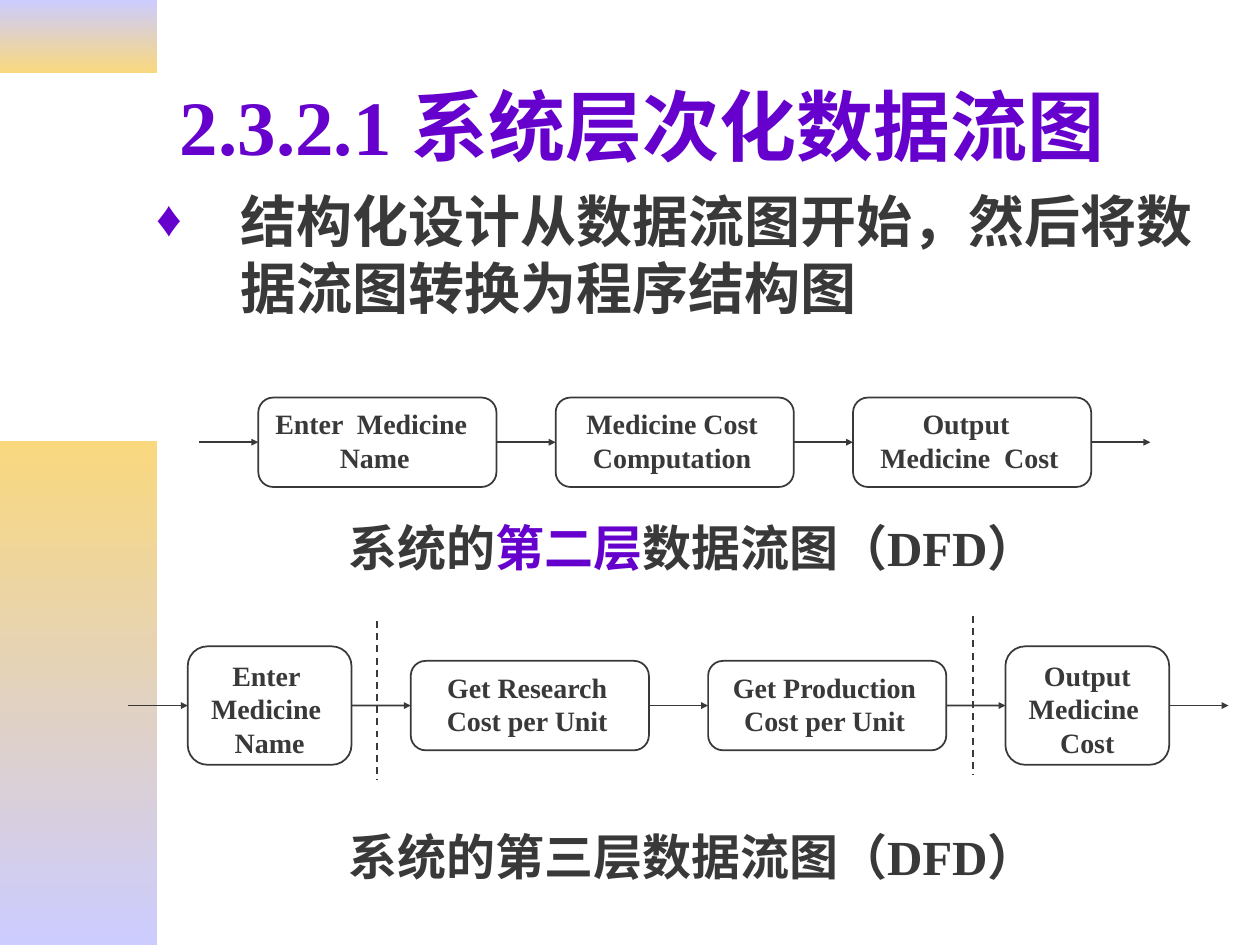
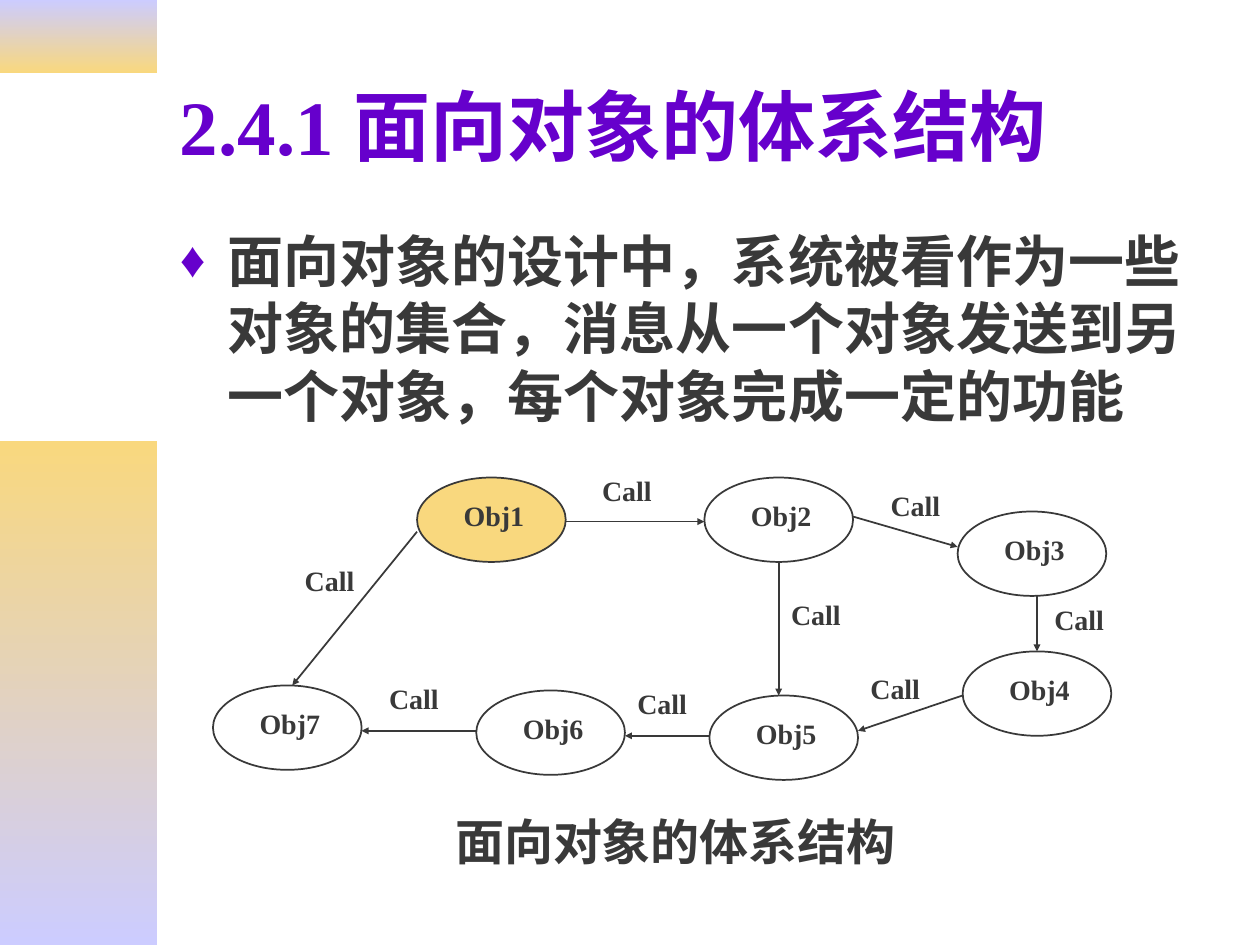
from dataclasses import dataclass

from lxml import etree
from pptx import Presentation
from pptx.dml.color import RGBColor
from pptx.enum.dml import MSO_LINE
from pptx.enum.lang import MSO_LANGUAGE_ID
from pptx.enum.shapes import MSO_CONNECTOR, MSO_SHAPE
from pptx.enum.text import MSO_ANCHOR, PP_ALIGN
from pptx.oxml.ns import qn
from pptx.util import Inches, Pt

RECTANGLE, ELLIPSE = MSO_SHAPE.RECTANGLE, MSO_SHAPE.OVAL
PROCESS = MSO_SHAPE.FLOWCHART_ALTERNATE_PROCESS
STRAIGHT, DASH = MSO_CONNECTOR.STRAIGHT, MSO_LINE.DASH
TOP, MIDDLE = MSO_ANCHOR.TOP, MSO_ANCHOR.MIDDLE
LEFT, CENTER = PP_ALIGN.LEFT, PP_ALIGN.CENTER
CHINESE = MSO_LANGUAGE_ID.SIMPLIFIED_CHINESE
LEFT_SIDE, RIGHT_SIDE = 1, 3

FONT = "Times New Roman"
INK, PURPLE, GOLD, LAVENDER = "393939", "6600CC", "F9D87E", "CCCCFF"
TITLE_SIZE, BODY_SIZE, CAPTION_SIZE, LABEL_SIZE = 44, 32, 28, 16
ARROW_GAP = 0.47
OBJECT_W, OBJECT_H = 1.18, 0.67
CALL_W, CALL_H = 0.83, 0.37
DIVIDER_H = 1.26


@dataclass(frozen=True)
class Span:
    text: str
    color: str = INK


@dataclass(frozen=True)
class Step:
    text: str
    width: float = 1.89
    height: float = 0.71
    insets: tuple[float, float, float, float] = (0.1, 0.04, 0.14, 0)


@dataclass(frozen=True)
class ObjectNode:
    name: str
    left: float
    top: float
    fill: str | None = None


@dataclass(frozen=True)
class Call:
    start: tuple[float, float]
    end: tuple[float, float]
    label: tuple[float, float]


def rgb(color: str) -> RGBColor:
    return RGBColor.from_string(color)


def write(shape, spans: list[Span], size: float, align=LEFT, anchor=TOP,
          insets=(0.1, 0.05, 0.1, 0.05)):
    """Fill a shape's only paragraph; insets run left, top, right, bottom."""
    tf = shape.text_frame
    tf.word_wrap = True
    tf.vertical_anchor = anchor
    (tf.margin_left, tf.margin_top,
     tf.margin_right, tf.margin_bottom) = map(Inches, insets)
    p = tf.paragraphs[0]
    p.alignment = align
    for span in spans:
        r = p.add_run()
        r.text = span.text
        r.font.name = FONT
        r.font.size = Pt(size)
        r.font.bold = True
        r.font.language_id = CHINESE
        r.font.color.rgb = rgb(span.color)
    return p


def add_text(s, left: float, top: float, width: float, height: float,
             spans: list[Span], size: float, **style):
    box = s.shapes.add_textbox(*map(Inches, (left, top, width, height)))
    return write(box, spans, size, **style)


def add_shape(s, kind, left: float, top: float, width: float, height: float,
              fill: str | None = None):
    sp = s.shapes.add_shape(kind, *map(Inches, (left, top, width, height)))
    sp.shadow.inherit = False
    if fill:
        sp.fill.solid()
        sp.fill.fore_color.rgb = rgb(fill)
    else:
        sp.fill.background()
    sp.line.color.rgb = rgb(INK)
    sp.line.width = Pt(1)
    return sp


def add_line(s, start: tuple[float, float], end: tuple[float, float]):
    line = s.shapes.add_connector(STRAIGHT, *map(Inches, (*start, *end)))
    line.line.color.rgb = rgb(INK)
    line.line.width = Pt(1)
    etree.SubElement(line._element.spPr, qn("a:effectLst"))
    return line


def add_arrow(s, start: tuple[float, float], end: tuple[float, float]):
    arrow = add_line(s, start, end)
    etree.SubElement(arrow.line._get_or_add_ln(), qn("a:tailEnd"),
                     type="triangle", w="sm", len="sm")
    return arrow


def add_divider(s, x: float, top: float) -> None:
    add_line(s, (x, top), (x, top + DIVIDER_H)).line.dash_style = DASH


def add_band(s, top: float, height: float, upper: str, lower: str) -> None:
    band = add_shape(s, RECTANGLE, 0, top, 1.25, height)
    band.line.fill.background()
    band.fill.gradient()
    band.fill.gradient_angle = 270
    for stop, color in zip(band.fill.gradient_stops, (upper, lower)):
        stop.color.rgb = rgb(color)


def add_bullet(p, indent: float) -> None:
    pPr = p._p.get_or_add_pPr()
    pPr.set("marL", str(Inches(indent)))
    pPr.set("indent", str(-Inches(indent)))
    color = etree.SubElement(pPr, qn("a:buClr"))
    etree.SubElement(color, qn("a:srgbClr"), val=PURPLE)
    etree.SubElement(pPr, qn("a:buSzPct"), val="90000")
    etree.SubElement(pPr, qn("a:buFont"), typeface=FONT)
    etree.SubElement(pPr, qn("a:buChar"), char="♦")


def add_base_slide(prs, title: str):
    s = prs.slides.add_slide(prs.slide_layouts[6])
    add_band(s, 0, 0.58, LAVENDER, GOLD)
    add_band(s, 3.5, 4, GOLD, LAVENDER)
    add_text(s, 1.33, 0.33, 8.5, 1.32, [Span(title, PURPLE)], TITLE_SIZE,
             anchor=MIDDLE)
    return s


def add_body(s, left: float, top: float, height: float, indent: float,
             text: str) -> None:
    p = add_text(s, left, top, 8.5, height, [Span(text)], BODY_SIZE)
    add_bullet(p, indent)


def add_flow(s, left: float, middle: float, steps: list[Step]) -> None:
    """Draw a chain of steps with an arrow before, between and after them."""
    previous = None
    x = left
    for step in steps:
        arrow = add_arrow(s, (x, middle), (x + ARROW_GAP, middle))
        x += ARROW_GAP
        box = add_shape(s, PROCESS, x, middle - step.height / 2,
                        step.width, step.height)
        write(box, [Span(step.text)], LABEL_SIZE, align=CENTER,
              insets=step.insets)
        if previous is not None:
            arrow.begin_connect(previous, RIGHT_SIDE)
        arrow.end_connect(box, LEFT_SIDE)
        previous = box
        x += step.width
    add_arrow(s, (x, middle), (x + ARROW_GAP, middle)).begin_connect(
        previous, RIGHT_SIDE)


def tall_step(text: str) -> Step:
    return Step(text, 1.3, 0.94, (0.1, 0.05, 0.1, 0))


def build_data_flow_slide(prs) -> None:
    s = add_base_slide(prs, "2.3.2.1 系统层次化数据流图")
    add_body(s, 1.14, 1.43, 1.53, 0.67,
             "结构化设计从数据流图开始，然后将数据流图转换为程序结构图")
    add_flow(s, 1.58, 3.51, [
        Step("Enter  Medicine  Name"),
        Step("Medicine Cost Computation"),
        Step("Output  Medicine  Cost"),
    ])
    add_flow(s, 1.02, 5.6, [
        tall_step("Enter  Medicine  Name"),
        Step("Get Research Cost per Unit"),
        Step("Get Production Cost per Unit"),
        tall_step("Output Medicine  Cost"),
    ])
    add_divider(s, 2.99, 4.93)
    add_divider(s, 7.72, 4.89)
    captions = {
        4.06: [Span("系统的"), Span("第二层", PURPLE), Span("数据流图（DFD）")],
        6.51: [Span("系统的第三层数据流图（DFD）")],
    }
    for top, spans in captions.items():
        add_text(s, 2.67, top, 6.5, 0.57, spans, CAPTION_SIZE)


def build_object_slide(prs) -> None:
    s = add_base_slide(prs, "2.4.1 面向对象的体系结构")
    add_body(s, 1.33, 1.75, 1.88, 0.38,
             "面向对象的设计中，系统被看作为一些对象的集合，消息从一个对象发送到"
             "另一个对象，每个对象完成一定的功能")
    nodes = [
        ObjectNode("Obj1", 3.31, 3.79, GOLD),
        ObjectNode("Obj2", 5.59, 3.79),
        ObjectNode("Obj3", 7.6, 4.06),
        ObjectNode("Obj4", 7.64, 5.17),
        ObjectNode("Obj5", 5.63, 5.52),
        ObjectNode("Obj6", 3.78, 5.48),
        ObjectNode("Obj7", 1.69, 5.44),
    ]
    calls = [
        Call((4.49, 4.14), (5.59, 4.14), (4.68, 3.71)),
        Call((3.31, 4.22), (2.32, 5.44), (2.32, 4.42)),
        Call((6.77, 4.1), (7.6, 4.34), (6.97, 3.83)),
        Call((6.18, 4.46), (6.18, 5.52), (6.18, 4.69)),
        Call((8.23, 4.73), (8.23, 5.17), (8.27, 4.73)),
        Call((7.64, 5.52), (6.81, 5.8), (6.81, 5.28)),
        Call((5.63, 5.84), (4.96, 5.84), (4.96, 5.4)),
        Call((3.78, 5.8), (2.87, 5.8), (2.99, 5.36)),
    ]
    for node in nodes:
        oval = add_shape(s, ELLIPSE, node.left, node.top, OBJECT_W, OBJECT_H,
                         node.fill)
        write(oval, [Span(node.name)], LABEL_SIZE, align=CENTER,
              insets=(0.04, 0.07, 0, 0))
    for call in calls:
        add_arrow(s, call.start, call.end)
        add_text(s, *call.label, CALL_W, CALL_H, [Span("Call")], LABEL_SIZE)
    add_text(s, 2.8, 6.39, 5.12, 0.57, [Span("面向对象的体系结构")],
             CAPTION_SIZE, align=CENTER)


def main() -> None:
    prs = Presentation()
    prs.slide_width, prs.slide_height = Inches(10), Inches(7.5)
    build_data_flow_slide(prs)
    build_object_slide(prs)
    prs.save("out.pptx")


if __name__ == "__main__":
    main()
